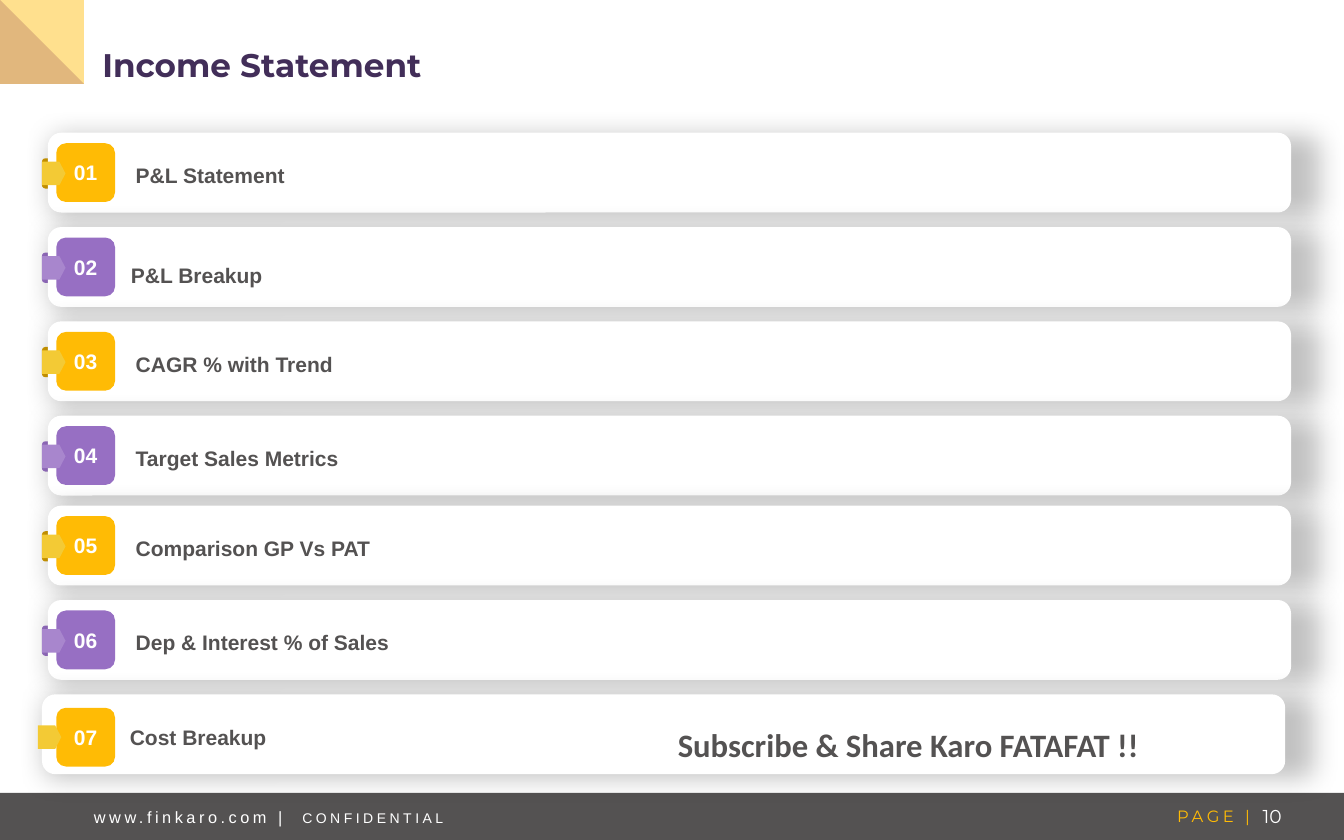
from dataclasses import dataclass
from typing import Any, Optional

from lxml.etree import SubElement
from pptx import Presentation
from pptx.dml.color import RGBColor
from pptx.enum.shapes import MSO_SHAPE
from pptx.enum.text import MSO_ANCHOR, MSO_AUTO_SIZE, PP_ALIGN
from pptx.oxml.ns import qn
from pptx.util import Inches, Pt

COLORS = {
    "white": "FFFFFF", "slate": "545252", "plum": "422E59", "black": "000000",
    "amber": "FFBB05", "amber_dark": "D09A00", "amber_light": "F3CA35",
    "violet": "976FC3", "violet_light": "A886CD",
}
LABEL_FORMAT = {"size": Pt(18), "name": "Arial", "bold": True}
LABEL_PARAGRAPH = {"alignment": PP_ALIGN.JUSTIFY, "line_spacing": 1.2, "space_after": Pt(6)}
NO_MARGINS = {"margin_top": 0, "margin_right": 0, "margin_bottom": 0}
MIDDLE = {"vertical_anchor": MSO_ANCHOR.MIDDLE}
GROW = {"auto_size": MSO_AUTO_SIZE.SHAPE_TO_FIT_TEXT}


@dataclass
class Theme:
    badge: str
    backing: str
    tag: str


@dataclass
class Row:
    number: str
    label: str
    top: float
    theme: Theme
    card_left: float = 0.57
    badge_drop: float = 0.125
    tag_left: float = 0.5
    tag_drop: float = 0.345
    has_backing: bool = True
    loose_label: bool = False


@dataclass
class Words:
    text: str
    color: str
    format: dict[str, Any]
    spacing: float = 0


@dataclass
class Blob:
    start: tuple[float, float]
    shoulder: tuple[float, float]
    curves: list[list[tuple[float, float]]]
    corner: tuple[float, float]
    color: str
    opacity: int


AMBER = Theme("amber", "amber_dark", "amber_light")
VIOLET = Theme("violet", "violet", "violet_light")
PITCH = 1.123
UPPER, LOWER = 1.58, 6.02
ROWS = [
    Row("01", "P&L Statement", UPPER, AMBER),
    Row("02", "P&L Breakup", UPPER + PITCH, VIOLET, loose_label=True),
    Row("03", "CAGR % with Trend", UPPER + 2 * PITCH, AMBER),
    Row("04", "Target Sales Metrics", UPPER + 3 * PITCH, VIOLET),
    Row("05", "Comparison GP Vs PAT", LOWER, AMBER),
    Row("06", "Dep & Interest % of Sales", LOWER + PITCH, VIOLET),
    Row("07", "Cost Breakup", LOWER + 2 * PITCH, AMBER, card_left=0.5, badge_drop=0.16,
        tag_left=0.45, tag_drop=0.37, has_backing=False),
]
BLOBS = [
    Blob((0, 1.07), (0.47, 1.34),
         [[(0.62, 1.43), (0.82, 1.38), (0.91, 1.22)], [(1, 1.07), (0.95, 0.86), (0.79, 0.77)]],
         (0, 0.32), "violet_light", 61),
    Blob((0, 0.57), (0.26, 0.72),
         [[(0.36, 0.78), (0.48, 0.74), (0.53, 0.65)], [(0.59, 0.55), (0.55, 0.43), (0.46, 0.38)]],
         (0, 0.11), "amber", 45),
]


def apply(target: Any, values: dict[str, Any]) -> None:
    for name, value in values.items():
        setattr(target, name, value)


def paint(shape: Any, color: str) -> None:
    shape.shadow.inherit = False
    shape.fill.solid()
    shape.fill.fore_color.rgb = RGBColor.from_string(COLORS[color])
    shape.line.fill.background()


def add_block(slide: Any, kind: Any, box: tuple[float, ...], color: str,
              adjustment: Optional[float] = None) -> Any:
    block = slide.shapes.add_shape(kind, *map(Inches, box))
    paint(block, color)
    if adjustment is not None:
        block.adjustments[0] = adjustment
    return block


def write(shape: Any, words: list[Words], frame: dict[str, Any], paragraph: dict[str, Any]) -> None:
    apply(shape.text_frame, {"word_wrap": True, **frame})
    line = shape.text_frame.paragraphs[0]
    apply(line, paragraph)
    for word in words:
        run = line.add_run()
        run.text = word.text
        apply(run.font, word.format)
        run.font.color.rgb = RGBColor.from_string(COLORS[word.color])
        if word.spacing:
            run.font._element.set("spc", str(round(word.spacing * 100)))


def add_text(slide: Any, box: tuple[float, ...], words: list[Words], frame: dict[str, Any],
             paragraph: dict[str, Any]) -> None:
    write(slide.shapes.add_textbox(*map(Inches, box)), words, frame, paragraph)


def add_alpha(color_element: Any, percent: int) -> None:
    SubElement(color_element, qn("a:alpha")).set("val", str(percent * 1000))


def cast_shadow(card: Any) -> None:
    effects = card._element.spPr.find(qn("a:effectLst"))
    shadow = SubElement(effects, qn("a:outerShdw"))
    settings = {"blurRad": Pt(23), "dist": Pt(3), "dir": 45 * 60000, "sx": 102000,
                "sy": 102000, "algn": "tl", "rotWithShape": 0}
    for name, value in settings.items():
        shadow.set(name, str(value))
    tint = SubElement(shadow, qn("a:srgbClr"))
    tint.set("val", COLORS["black"])
    add_alpha(tint, 23)


def bezier(points: list[tuple[float, float]], t: float) -> tuple[float, float]:
    weights = ((1 - t) ** 3, 3 * t * (1 - t) ** 2, 3 * t * t * (1 - t), t ** 3)
    x, y = (sum(w * p[axis] for w, p in zip(weights, points)) for axis in (0, 1))
    return x, y


def add_blob(slide: Any, blob: Blob, steps: int = 16) -> None:
    outline = [blob.shoulder]
    for curve in blob.curves:
        controls = [outline[-1], *curve]
        outline += [bezier(controls, step / steps) for step in range(1, steps + 1)]
    outline.append(blob.corner)
    builder = slide.shapes.build_freeform(*blob.start, scale=Inches(1))
    builder.add_line_segments(outline, close=True)
    shape = builder.convert_to_shape()
    paint(shape, blob.color)
    add_alpha(shape._element.spPr.find(qn("a:solidFill"))[0], blob.opacity)


def add_row(slide: Any, row: Row) -> None:
    if row.has_backing:
        add_block(slide, MSO_SHAPE.ROUNDED_RECTANGLE, (0.5, row.top + 0.305, 0.34, 0.36),
                  row.theme.backing, 0.117)
    card = add_block(slide, MSO_SHAPE.ROUNDED_RECTANGLE, (row.card_left, row.top, 14.8, 0.95), "white")
    cast_shadow(card)
    label = [Words(row.label, "slate", LABEL_FORMAT)]
    if row.loose_label:
        add_text(slide, (1.46, row.top + 0.31, 8.02, 0.43), label, GROW, LABEL_PARAGRAPH)
    else:
        write(card, label, {**MIDDLE, **NO_MARGINS, "margin_left": Inches(1)}, LABEL_PARAGRAPH)
    badge = add_block(slide, MSO_SHAPE.ROUNDED_RECTANGLE, (0.67, row.top + row.badge_drop, 0.7, 0.7),
                      row.theme.badge)
    write(badge, [Words(row.number, "white", LABEL_FORMAT)], MIDDLE, {"alignment": PP_ALIGN.CENTER})
    add_block(slide, MSO_SHAPE.PENTAGON, (row.tag_left, row.top + row.tag_drop, 0.28, 0.28),
              row.theme.tag, 0.261)


def add_footer(slide: Any) -> None:
    add_block(slide, MSO_SHAPE.RECTANGLE, (0, 9.44, 16, 0.56), "slate")
    add_text(slide, (12.54, 9.55, 2.44, 0.34),
             [Words("PAGE |", "amber", {"size": Pt(14), "name": "Montserrat"}, 3)],
             GROW, {"alignment": PP_ALIGN.RIGHT})
    add_text(slide, (14.79, 9.44, 0.71, 0.56),
             [Words("10", "white", {"size": Pt(16), "name": "Montserrat"})],
             MIDDLE, {"alignment": PP_ALIGN.CENTER})
    site = {"size": Pt(14), "name": "Arial"}
    add_text(slide, (1.02, 9.46, 6.81, 0.54),
             [Words("www.finkaro.com |", "white", site, 3), Words(" ", "white", site, 9.9),
              Words("CONFIDENTIAL", "white", {**site, "size": Pt(12)}, 3)], MIDDLE, {})


def main() -> None:
    deck = Presentation()
    apply(deck, {"slide_width": Inches(16), "slide_height": Inches(10)})
    slide = deck.slides.add_slide(deck.slide_layouts[6])
    for blob in BLOBS:
        add_blob(slide, blob)
    add_footer(slide)
    add_text(slide, (1.12, 0, 12.94, 1.5),
             [Words("Income Statement", "plum", {"size": Pt(28), "name": "Montserrat", "bold": True})],
             MIDDLE, {"line_spacing": 1.1})
    for row in ROWS:
        add_row(slide, row)
    add_text(slide, (7.97, 8.49, 6.11, 0.63),
             [Words("Subscribe & Share Karo FATAFAT !!", "slate",
                    {"size": Pt(28), "name": "Calibri", "bold": True})], GROW, {"line_spacing": 1.2})
    deck.save("out.pptx")


if __name__ == "__main__":
    main()
